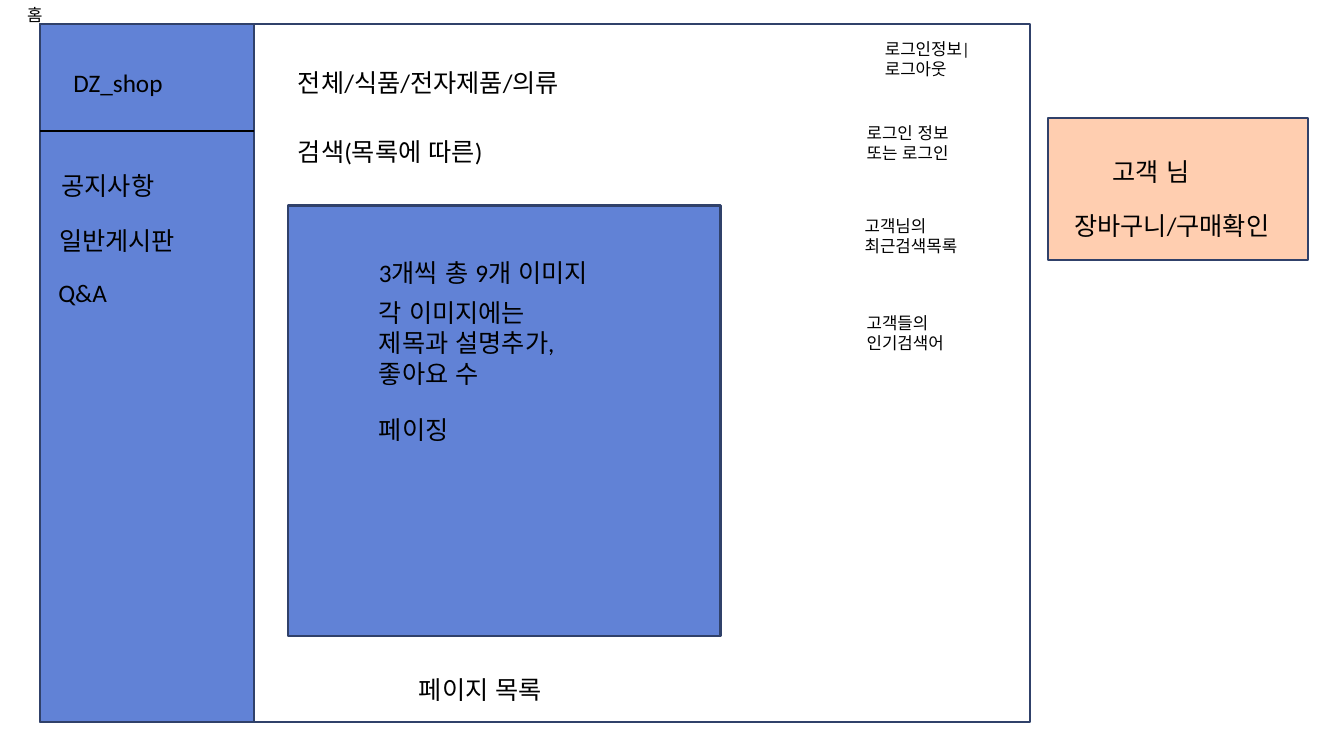
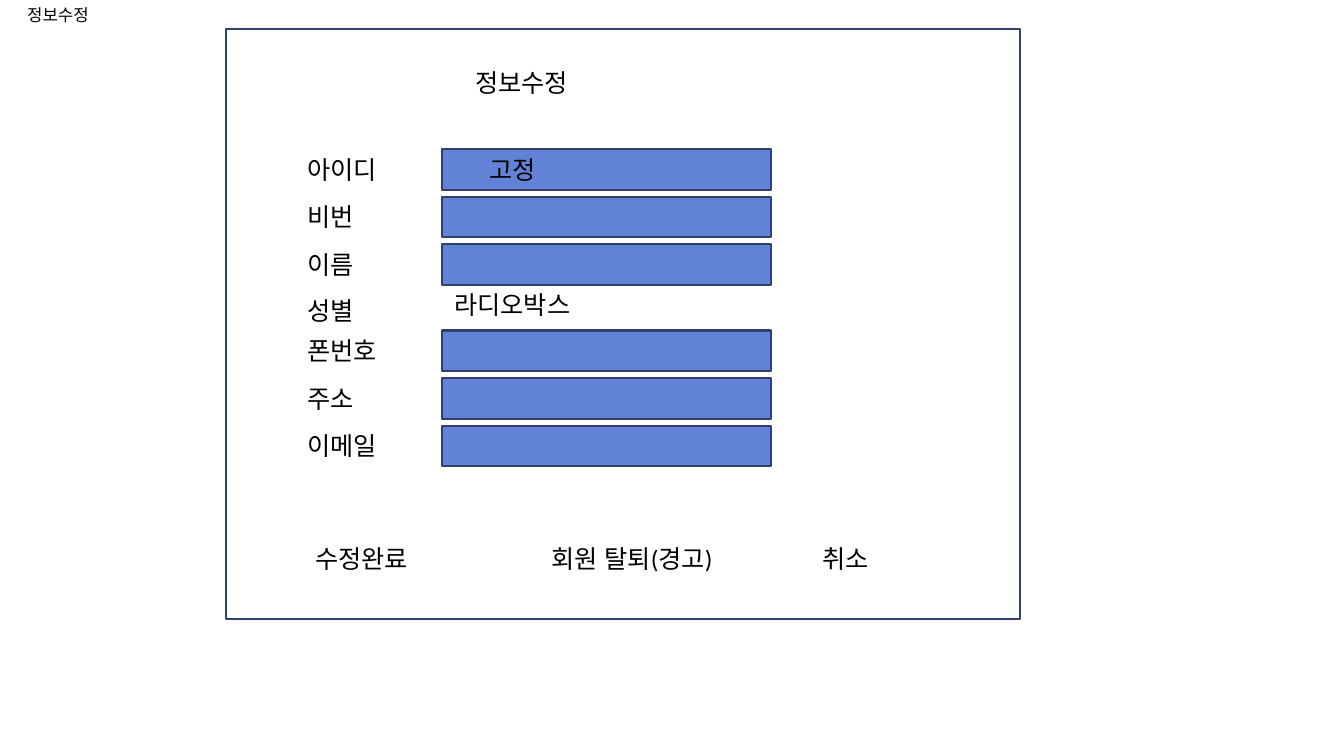
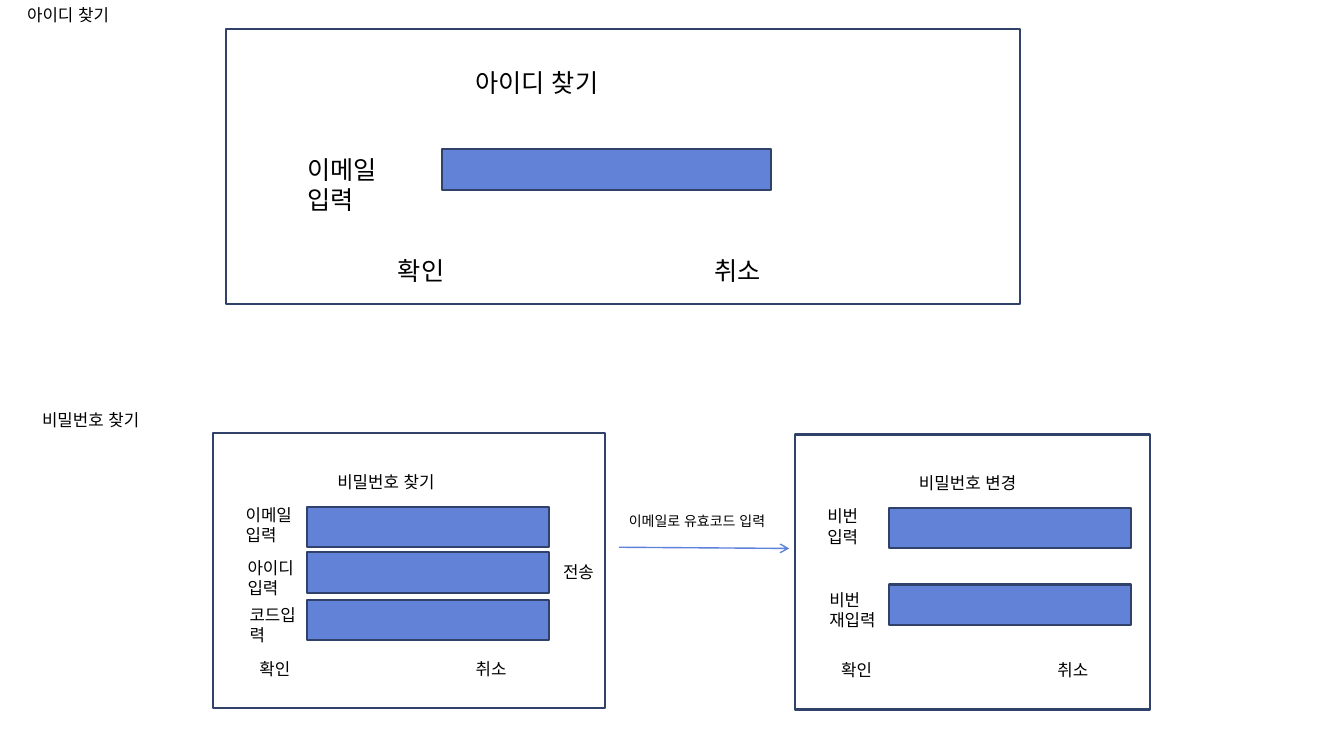
from dataclasses import dataclass

from lxml import etree
from pptx import Presentation
from pptx.dml.color import RGBColor
from pptx.enum.lang import MSO_LANGUAGE_ID
from pptx.enum.shapes import MSO_CONNECTOR, MSO_SHAPE
from pptx.enum.text import MSO_ANCHOR, MSO_AUTO_SIZE, PP_ALIGN
from pptx.oxml.ns import qn
from pptx.util import Cm, Pt

RECT = MSO_SHAPE.RECTANGLE
STRAIGHT = MSO_CONNECTOR.STRAIGHT
GROW = MSO_AUTO_SIZE.SHAPE_TO_FIT_TEXT
TOP = MSO_ANCHOR.TOP
LEFT = PP_ALIGN.LEFT
KOREAN = MSO_LANGUAGE_ID.KOREAN


@dataclass(frozen=True)
class Theme:
    font: str = "Calibri"
    text: str = "000000"
    panel: str = "FFFFFF"
    field: str = "6182D6"
    cart: str = "FFCEB0"
    border: str = "30416A"
    arrow: str = "5E81D9"
    large: int = 18
    small: int = 12
    tiny: int = 10


class Wireframe:
    """Draw screen wireframes in one style, with positions in centimetres."""

    def __init__(self, prs, theme):
        self.prs = prs
        self.theme = theme
        self.s = None

    def slide(self, title):
        self.s = self.prs.slides.add_slide(self.prs.slide_layouts[5])
        sp = self.s.shapes.title
        sp.left, sp.top, sp.width, sp.height = Cm(0.43), Cm(0), Cm(6.22), Cm(0.74)
        self.set_text(sp, title, self.theme.small)

    def set_text(self, sp, text, size):
        tf = sp.text_frame
        tf.word_wrap = True
        tf.auto_size = GROW
        tf.vertical_anchor = TOP
        p = tf.paragraphs[0]
        p.alignment = LEFT
        r = p.add_run()
        r.text = text
        r.font.name = self.theme.font
        r.font.size = Pt(size)
        r.font.color.rgb = RGBColor.from_string(self.theme.text)
        r.font.language_id = KOREAN

    def text(self, x, y, w, text, size=None, lines=1):
        size = size or self.theme.large
        h = 0.25 + lines * size * 0.04
        sp = self.s.shapes.add_textbox(Cm(x), Cm(y), Cm(w), Cm(h))
        self.set_text(sp, text, size)

    def small(self, x, y, w, text, lines=1):
        self.text(x, y, w, text, self.theme.small, lines)

    def rect(self, x, y, w, h, color):
        sp = self.s.shapes.add_shape(RECT, Cm(x), Cm(y), Cm(w), Cm(h))
        sp.shadow.inherit = False
        sp.fill.solid()
        sp.fill.fore_color.rgb = RGBColor.from_string(color)
        sp.line.color.rgb = RGBColor.from_string(self.theme.border)
        sp.line.width = Pt(1.5)

    def field(self, x, y, w):
        self.rect(x, y, w, 1.02, self.theme.field)

    def line(self, x1, y1, x2, y2, color, arrow=False):
        cx = self.s.shapes.add_connector(STRAIGHT, Cm(x1), Cm(y1), Cm(x2), Cm(y2))
        cx.line.color.rgb = RGBColor.from_string(color)
        cx.line.width = Pt(1)
        props = cx.element.spPr
        if arrow:
            etree.SubElement(props.find(qn("a:ln")), qn("a:tailEnd"), type="arrow")
        etree.SubElement(props, qn("a:effectLst"))

    def form(self, h, title):
        self.rect(5.69, 0.74, 20.02, h, self.theme.panel)
        self.text(11.73, 1.57, 8.74, title)

    def form_row(self, y, label, lines=1):
        self.text(7.5, y, 2.59, label, lines=lines)
        self.field(11.15, y, 8.28)

    def password_panel(self, x, y, w, title, rows):
        self.rect(x, y, w, 6.93, self.theme.panel)
        self.small(x + 2.87, y + 0.84, 6.45, title)
        for i, (label, label_y, field_y) in enumerate(rows):
            self.small(x + 0.56 + 0.05 * i, y + label_y, 1.9, label, 2)
            self.field(x + 2.36, y + field_y, 6.1)
        for dx, button in ((0.91, "확인"), (6.36, "취소")):
            self.small(x + dx, y + 5.56, 3.51, button)


def home(w):
    t = w.theme
    w.slide("홈")
    w.rect(1.02, 0.61, 24.94, 17.58, t.panel)
    w.rect(1.02, 0.61, 5.38, 17.58, t.field)
    w.line(1.02, 3.3, 6.4, 3.3, t.text)
    w.text(1.6, 1.57, 4.19, "DZ_shop")
    for x, y, item in ((1.3, 4.17, "공지사항"), (1.24, 5.56, "일반게시판"), (1.22, 6.86, "Q&A")):
        w.text(x, y, 4.19, item)

    w.text(7.26, 1.57, 10.59, "전체/식품/전자제품/의류")
    w.text(7.26, 3.3, 8.36, "검색(목록에 따른)")
    w.rect(7.26, 5.18, 10.9, 10.85, t.field)
    w.text(9.3, 6.35, 6.32, "3개씩 총 9개 이미지")
    w.text(9.3, 7.37, 5.23, "각 이미지에는 제목과 설명추가, 좋아요 수", lines=3)
    w.text(9.3, 10.31, 5.23, "페이징")
    w.text(10.31, 16.87, 4.78, "페이지 목록")

    for x, y, note in (
        (22.05, 0.84, "로그인정보|로그아웃"),
        (21.59, 2.97, "로그인 정보 또는 로그인"),
        (21.54, 5.31, "고객님의 최근검색목록"),
        (21.59, 7.75, "고객들의 인기검색어"),
    ):
        w.small(x, y, 2.85, note, 2)

    w.rect(26.42, 2.97, 6.55, 3.58, t.cart)
    w.text(27.79, 3.81, 4.34, "고객 님")
    w.text(26.82, 5.18, 5.84, "장바구니/구매확인")


def edit_profile(w):
    w.slide("정보수정")
    w.form(14.86, "정보수정")
    for top, labels in ((3.76, ("아이디", "비번", "이름")), (8.33, ("폰번호", "주소", "이메일"))):
        for i, label in enumerate(labels):
            w.form_row(top + 1.2 * i, label)
    w.text(12.09, 3.76, 5.64, "고정")
    w.text(7.5, 7.32, 2.59, "성별")
    w.text(11.2, 7.16, 8.2, "라디오박스")
    w.text(7.7, 13.56, 4.78, "수정완료")
    w.text(13.64, 13.56, 4.93, "회원 탈퇴(경고)", lines=2)
    w.text(20.47, 13.56, 4.78, "취소")


def find_account(w):
    t = w.theme
    w.slide("아이디 찾기")
    w.form(6.93, "아이디 찾기")
    w.form_row(3.76, "이메일 입력", lines=2)
    w.text(9.78, 6.3, 4.78, "확인")
    w.text(17.75, 6.3, 4.78, "취소")

    w.small(0.81, 10.19, 6.22, "비밀번호 찾기")
    w.password_panel(5.38, 10.92, 9.86, "비밀번호 찾기", (
        ("이메일 입력", 1.68, 1.85),
        ("아이디입력", 3, 3),
        ("코드입력", 4.19, 4.19),
    ))
    w.small(13.94, 14.02, 3.51, "전송")
    w.text(15.6, 12.78, 4.29, "이메일로 유효코드 입력", t.tiny)
    w.line(15.6, 13.79, 19.89, 13.82, t.arrow, arrow=True)
    w.password_panel(20.04, 10.95, 8.94, "비밀번호 변경", (
        ("비번 입력", 1.68, 1.85),
        ("비번 재입력", 3.78, 3.78),
    ))


def main():
    prs = Presentation()
    prs.slide_width, prs.slide_height = Cm(33.87), Cm(19.05)
    w = Wireframe(prs, Theme())
    home(w)
    edit_profile(w)
    find_account(w)
    prs.save("out.pptx")


if __name__ == "__main__":
    main()
